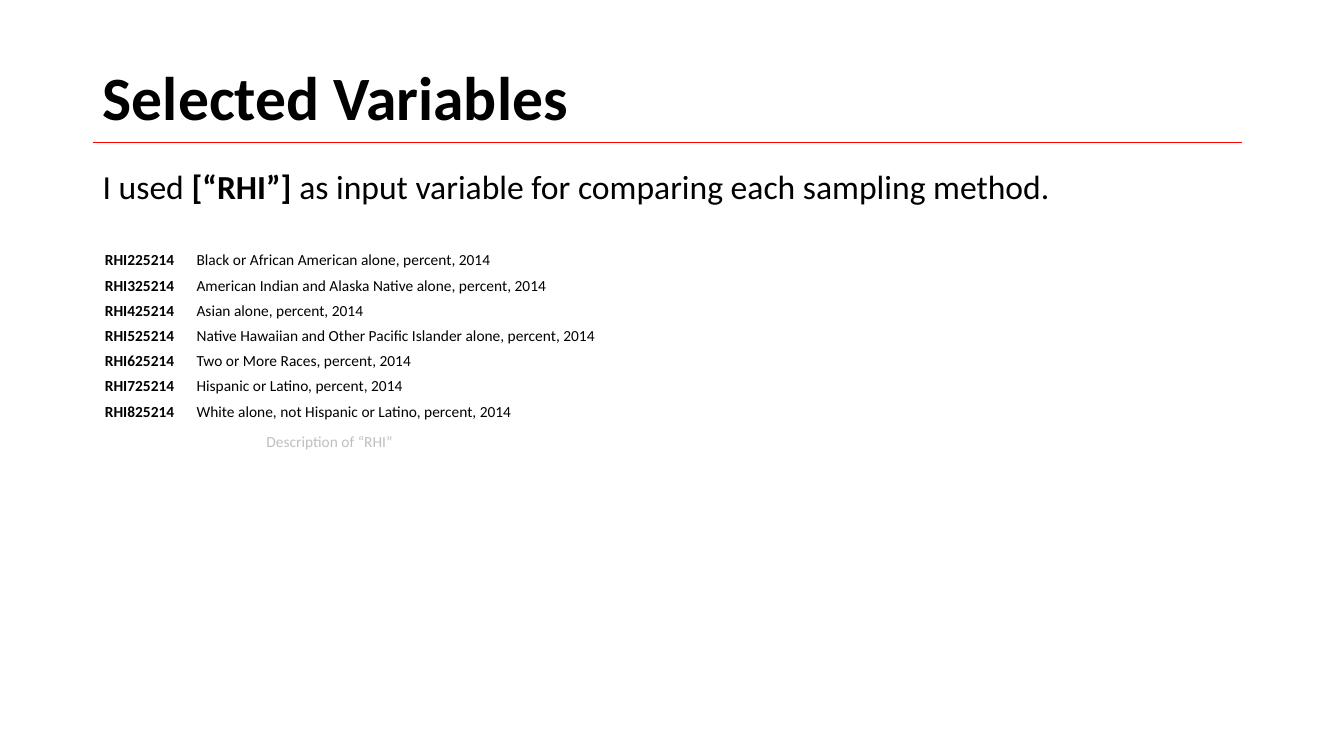
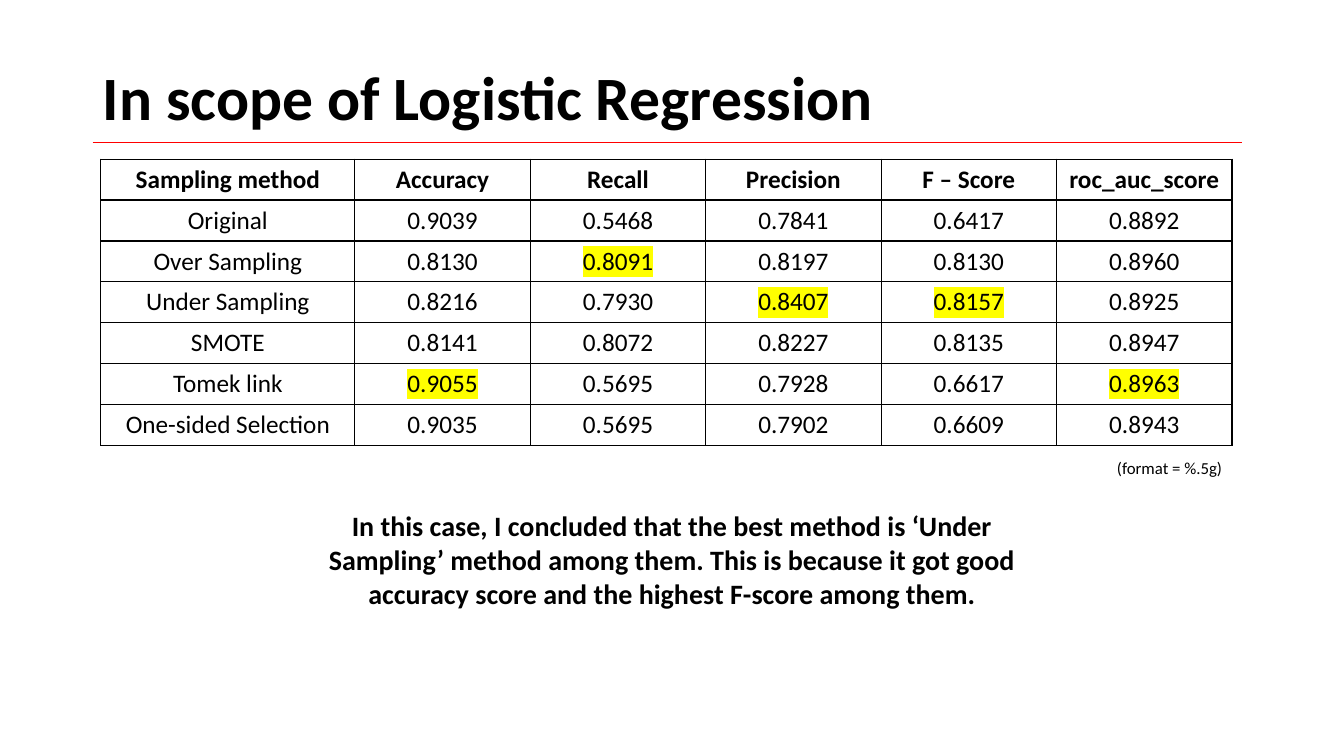
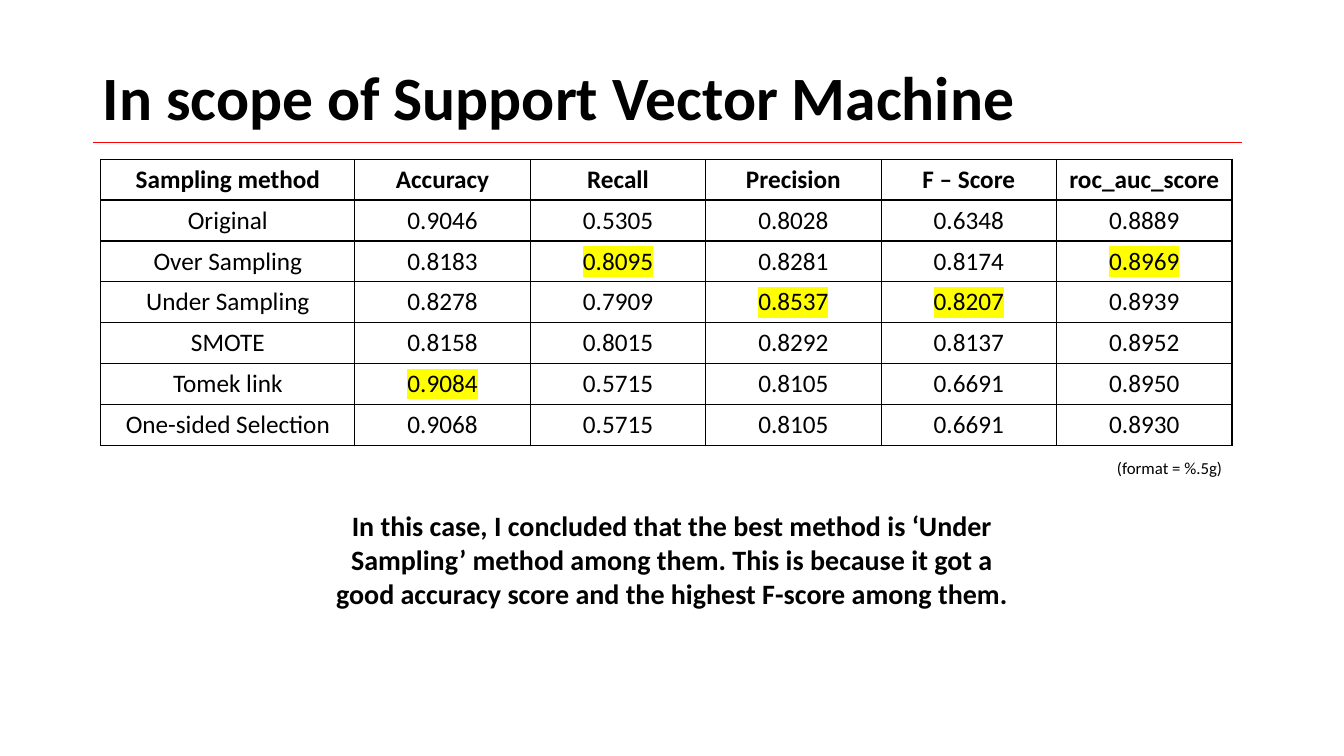
import lxml.etree
import pptx
import pptx.dml.color
import pptx.enum.shapes
import pptx.enum.text
import pptx.oxml.ns
import pptx.util

Inches = pptx.util.Inches
Pt = pptx.util.Pt
ALIGN = pptx.enum.text.PP_ALIGN
ANCHOR = pptx.enum.text.MSO_ANCHOR
AUTO_SIZE = pptx.enum.text.MSO_AUTO_SIZE
qn = pptx.oxml.ns.qn

FONT = "Calibri"
BLACK, RED, GREY, YELLOW = "000000", "FF0000", "BFBFBF", "FFFF00"
TITLE_BOX = (0.92, 0.4, 11.5, 1.2)
RULE_LEFT, RULE_RIGHT, RULE_TOP = 0.92, 12.32, 1.41

VARIABLES_TITLE = "Selected Variables"
VARIABLES_INTRO = [
    ("I used ", False),
    ("[“RHI”] ", True),
    ("as input variable for comparing each sampling method.", False),
]
VARIABLES = [
    ("RHI225214", "Black or African American alone, percent, 2014"),
    ("RHI325214", "American Indian and Alaska Native alone, percent, 2014"),
    ("RHI425214", "Asian alone, percent, 2014"),
    ("RHI525214", "Native Hawaiian and Other Pacific Islander alone, percent, 2014"),
    ("RHI625214", "Two or More Races, percent, 2014"),
    ("RHI725214", "Hispanic or Latino, percent, 2014"),
    ("RHI825214", "White alone, not Hispanic or Latino, percent, 2014"),
]
VARIABLES_CAPTION = "Description of “RHI”"

SCORE_HEADER = ("Sampling method", "Accuracy", "Recall", "Precision", "F – Score", "roc_auc_score")
METHODS = ("Original", "Over Sampling", "Under Sampling", "SMOTE", "Tomek link", "One-sided Selection")
SCORE_NOTE = "(format = %.5g)"
CONCLUSION = (
    "In this case, I concluded that the best method is ‘Under Sampling’ method among them. "
    "This is because it got {} accuracy score and the highest F-score among them."
)
MODELS = [
    {
        "title": "In scope of Logistic Regression",
        "scores": [
            (0.9039, 0.5468, 0.7841, 0.6417, 0.8892),
            (0.8130, 0.8091, 0.8197, 0.8130, 0.8960),
            (0.8216, 0.7930, 0.8407, 0.8157, 0.8925),
            (0.8141, 0.8072, 0.8227, 0.8135, 0.8947),
            (0.9055, 0.5695, 0.7928, 0.6617, 0.8963),
            (0.9035, 0.5695, 0.7902, 0.6609, 0.8943),
        ],
        "conclusion": CONCLUSION.format("good"),
    },
    {
        "title": "In scope of Support Vector Machine",
        "scores": [
            (0.9046, 0.5305, 0.8028, 0.6348, 0.8889),
            (0.8183, 0.8095, 0.8281, 0.8174, 0.8969),
            (0.8278, 0.7909, 0.8537, 0.8207, 0.8939),
            (0.8158, 0.8015, 0.8292, 0.8137, 0.8952),
            (0.9084, 0.5715, 0.8105, 0.6691, 0.8950),
            (0.9068, 0.5715, 0.8105, 0.6691, 0.8930),
        ],
        "conclusion": CONCLUSION.format("a good"),
    },
]


def rgb(value):
    """Turn a hex string into a colour."""
    return pptx.dml.color.RGBColor.from_string(value)


def set_all(target, **values):
    """Set several attributes of one object."""
    for name, value in values.items():
        setattr(target, name, value)


def add_run(paragraph, text, size, bold=False, color=BLACK):
    """Append one formatted run to a paragraph."""
    run = paragraph.add_run()
    run.text = text
    set_all(run.font, name=FONT, size=Pt(size), bold=bold)
    run.font.color.rgb = rgb(color)
    return run


def highlight(run, color):
    """Mark the run's background; the element follows the text fill."""
    fill = run._r.get_or_add_rPr().find(qn("a:solidFill"))
    mark = lxml.etree.Element(qn("a:highlight"))
    lxml.etree.SubElement(mark, qn("a:srgbClr"), val=color)
    fill.addnext(mark)


def add_text(slide, box, runs, size, align=ALIGN.LEFT, color=BLACK, wrap=True):
    """Add a one-paragraph text box from (text, bold) pairs."""
    shape = slide.shapes.add_textbox(*map(Inches, box))
    set_all(shape.text_frame, word_wrap=wrap, auto_size=AUTO_SIZE.SHAPE_TO_FIT_TEXT)
    paragraph = shape.text_frame.paragraphs[0]
    paragraph.alignment = align
    for text, bold in runs:
        add_run(paragraph, text, size, bold, color)


def add_titled_slide(presentation, title):
    """Add a slide with the shared title and the red rule under it."""
    slide = presentation.slides.add_slide(presentation.slide_layouts[5])
    shape = slide.shapes.title
    set_all(shape, **dict(zip(("left", "top", "width", "height"), map(Inches, TITLE_BOX))))
    set_all(shape.text_frame, vertical_anchor=ANCHOR.MIDDLE, word_wrap=True, auto_size=AUTO_SIZE.NONE)
    paragraph = shape.text_frame.paragraphs[0]
    set_all(paragraph, alignment=ALIGN.LEFT, line_spacing=0.9)
    add_run(paragraph, title, 44, bold=True)

    ends = (RULE_LEFT, RULE_TOP, RULE_RIGHT, RULE_TOP)
    rule = slide.shapes.add_connector(pptx.enum.shapes.MSO_CONNECTOR.STRAIGHT, *map(Inches, ends))
    rule.line.color.rgb = rgb(RED)
    rule.line.width = Pt(0.5)
    lxml.etree.SubElement(rule._element.spPr, qn("a:effectLst"))
    return slide


def add_plain_table(slide, left, top, column_widths, row_height, row_count):
    """Add a table without banding, with the given column widths."""
    size = (sum(column_widths), row_height * row_count)
    frame = slide.shapes.add_table(row_count, len(column_widths), *map(Inches, (left, top, *size)))
    table = frame.table
    set_all(table, first_row=False, horz_banding=False)
    for column, width in zip(table.columns, column_widths):
        column.width = Inches(width)
    return table


def add_borders(cell, **widths):
    """Draw black cell borders; widths are points by side, in L, R, T, B order."""
    properties = cell._tc.get_or_add_tcPr()
    for side, width in widths.items():
        line = lxml.etree.SubElement(properties, qn("a:ln" + side), w=str(Pt(width)))
        fill = lxml.etree.SubElement(line, qn("a:solidFill"))
        lxml.etree.SubElement(fill, qn("a:srgbClr"), val=BLACK)


def build_variables_slide(presentation):
    """List the input variables and their descriptions."""
    slide = add_titled_slide(presentation, VARIABLES_TITLE)
    add_text(slide, (0.92, 1.6, 9.88, 0.5), VARIABLES_INTRO, 24)
    table = add_plain_table(slide, 1.03, 2.43, (0.91, 4.37), 0.25, len(VARIABLES))
    margins = {"margin_left": 0.01, "margin_right": 0.01, "margin_top": 0.01, "margin_bottom": 0}
    for row, texts in enumerate(VARIABLES):
        for column, text in enumerate(texts):
            cell = table.cell(row, column)
            set_all(cell, vertical_anchor=ANCHOR.BOTTOM)
            set_all(cell, **{name: Inches(value) for name, value in margins.items()})
            cell.fill.background()
            add_run(cell.text_frame.paragraphs[0], text, 11, bold=column == 0)
    add_text(slide, (1.92, 4.24, 2.7, 0.29), [(VARIABLES_CAPTION, False)], 11, ALIGN.CENTER, GREY)


def build_model_slide(presentation, model):
    """Show a model's scores, marking the best value of each column."""
    slide = add_titled_slide(presentation, model["title"])
    best = [max(column) for column in zip(*model["scores"])]
    rows = [SCORE_HEADER]
    rows += [(method, *scores) for method, scores in zip(METHODS, model["scores"])]
    table = add_plain_table(slide, 1, 1.58, [2.52] + [1.74] * len(best), 0.4, len(rows))
    for row, values in enumerate(rows):
        for column, value in enumerate(values):
            cell = table.cell(row, column)
            add_borders(cell, L=1, R=1, T=1.5 if row == 1 else 1, B=1.5 if row == 0 else 1)
            cell.fill.background()
            paragraph = cell.text_frame.paragraphs[0]
            paragraph.alignment = ALIGN.CENTER
            text = value if isinstance(value, str) else f"{value:.4f}"
            run = add_run(paragraph, text, 18, bold=row == 0)
            if column > 0 and value == best[column - 1]:
                highlight(run, YELLOW)
    add_text(slide, (3.11, 5, 7.11, 1.11), [(model["conclusion"], True)], 20, ALIGN.CENTER)
    add_text(slide, (10.98, 4.49, 1.26, 0.3), [(SCORE_NOTE, False)], 12, wrap=False)


def main():
    """Build and save the presentation."""
    presentation = pptx.Presentation()
    set_all(presentation, slide_width=Inches(13.33), slide_height=Inches(7.5))
    build_variables_slide(presentation)
    for model in MODELS:
        build_model_slide(presentation, model)
    presentation.save("out.pptx")


main()
